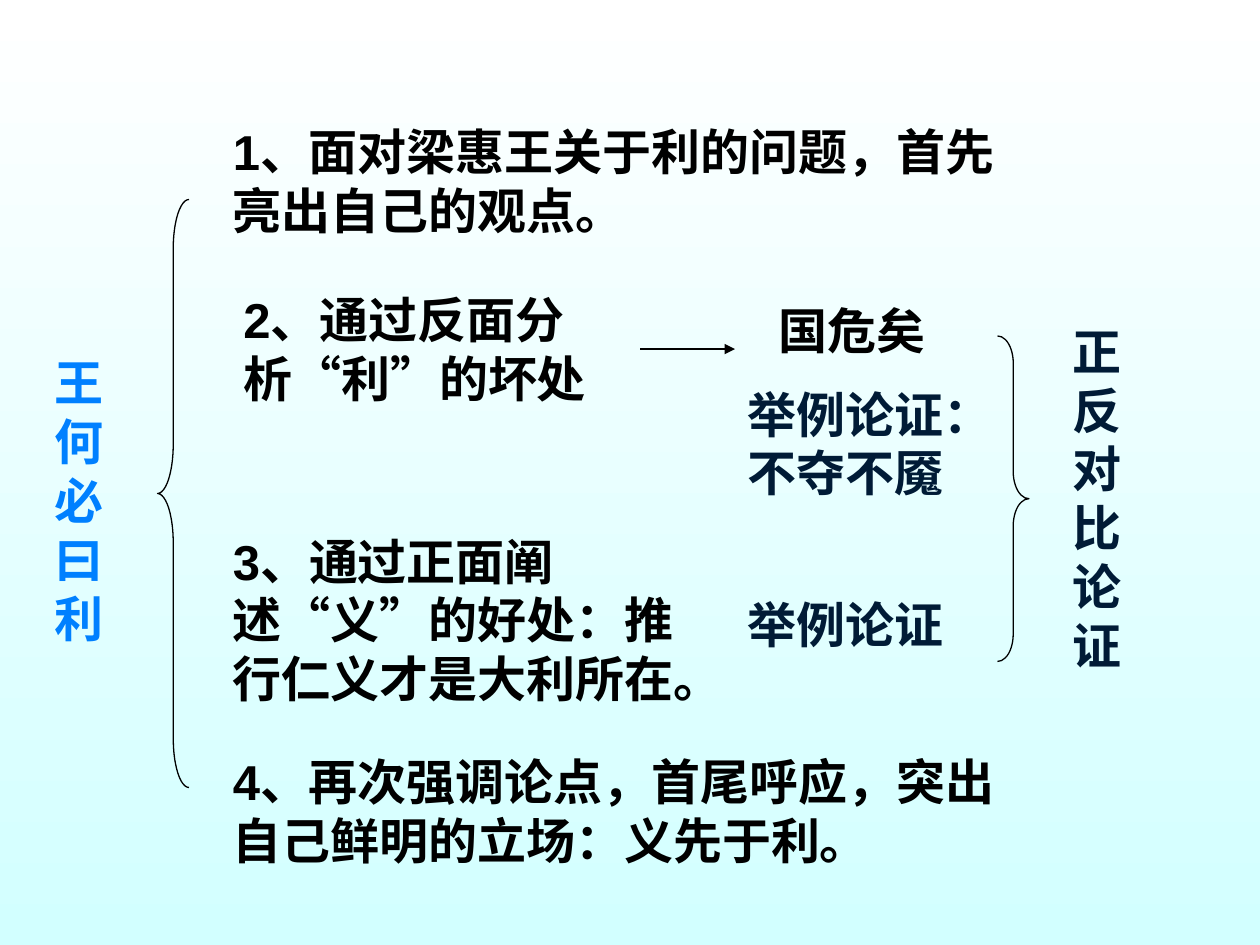
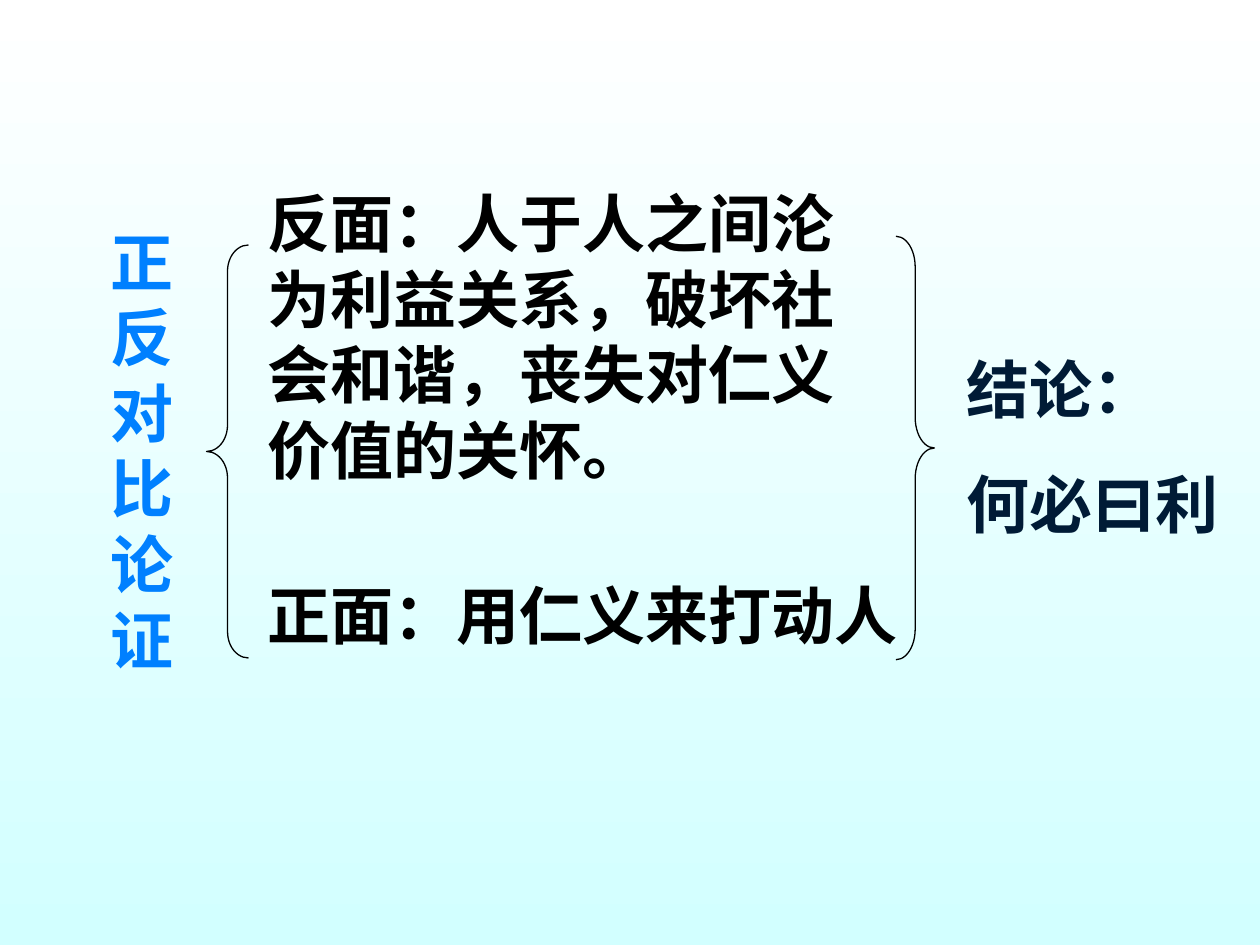
from lxml import etree
from pptx import Presentation
from pptx.dml.color import RGBColor
from pptx.enum.lang import MSO_LANGUAGE_ID as LANG
from pptx.enum.shapes import MSO_CONNECTOR, MSO_SHAPE as SHAPE
from pptx.enum.text import MSO_AUTO_SIZE as AUTO_SIZE
from pptx.oxml.ns import qn
from pptx.util import Pt

FONT = "Arial"
BLACK = RGBColor(0x00, 0x00, 0x00)
NAVY = RGBColor(0x00, 0x1B, 0x36)
BLUE = RGBColor(0x00, 0x80, 0xFF)
WHITE = RGBColor(0xFF, 0xFF, 0xFF)
PALE_CYAN = RGBColor(0xD2, 0xFF, 0xFF)
LINE_WIDTH = Pt(0.75)
SMALL, LARGE = 28, 36


def set_background(master):
    fill = master.background.fill
    fill.gradient()
    fill.gradient_angle = 270
    for stop, color in zip(fill.gradient_stops, (WHITE, PALE_CYAN)):
        stop.color.rgb = color


def add_text(s, text, x, y, w, h, size, color=BLACK):
    box = s.shapes.add_textbox(Pt(x), Pt(y), Pt(w), Pt(h))
    tf = box.text_frame
    tf.word_wrap = True
    tf.auto_size = AUTO_SIZE.SHAPE_TO_FIT_TEXT
    tf.text = text
    for p in tf.paragraphs:
        p.space_before = Pt(size * 0.625)
        for r in p.runs:
            r.font.name = FONT
            r.font.size = Pt(size)
            r.font.bold = True
            r.font.color.rgb = color
            r.font.language_id = LANG.SIMPLIFIED_CHINESE
    return box


def add_brace(s, kind, x, y, w, h, curl):
    """Add a brace whose curved parts are each curl points high."""
    brace = s.shapes.add_shape(kind, Pt(x), Pt(y), Pt(w), Pt(h))
    brace.adjustments[0] = curl / w
    brace.shadow.inherit = False
    brace.fill.background()
    brace.line.color.rgb = BLACK
    brace.line.width = LINE_WIDTH


def add_arrow_from(s, box, length):
    """Add an arrow to the right from the middle of the box's right side."""
    x, y = box.left + box.width, box.top + box.height // 2
    arrow = s.shapes.add_connector(MSO_CONNECTOR.STRAIGHT, x, y, x + Pt(length), y)
    arrow.begin_connect(box, 3)
    arrow.line.color.rgb = BLACK
    arrow.line.width = LINE_WIDTH
    etree.SubElement(arrow.line._get_or_add_ln(), qn("a:tailEnd"), type="triangle")
    etree.SubElement(arrow._element.spPr, qn("a:effectLst"))


def add_points(s, x, y):
    """Add the four steps of the argument."""
    add_text(s, "1、面对梁惠王关于利的问题，首先亮出自己的观点。", x, y, 462, 75, SMALL)
    harm = add_text(s, "2、通过反面分析“利”的坏处", x + 6, y + 96, 234, 75, SMALL)
    add_arrow_from(s, harm, 54)
    add_text(s, "3、通过正面阐述“义”的好处：推行仁义才是大利所在。",
             x, y + 234, 270, 108, SMALL)
    add_text(s, "4、再次强调论点，首尾呼应，突出自己鲜明的立场：义先于利。",
             x, y + 360, 462, 75, SMALL)


def add_evidence(s, x, y):
    """Add the examples, braced together under the method they serve."""
    add_text(s, "国危矣", x + 18, y, 114, 41, SMALL)
    add_text(s, "举例论证：不夺不魇", x, y + 48, 162, 75, SMALL, NAVY)
    add_text(s, "举例论证", x, y + 168, 156, 41, SMALL, NAVY)
    add_brace(s, SHAPE.RIGHT_BRACE, x + 150, y + 24, 18, 186, 15.5)
    add_text(s, "正反对比论证", x + 186, y + 12, 66, 209, SMALL, NAVY)


def add_contrast(s, x, y):
    """Add the negative and positive sides between two braces."""
    add_brace(s, SHAPE.LEFT_BRACE, x, y + 38, 24, 236, 15)
    add_text(s, "反面：人于人之间沦为利益关系，破坏社会和谐，丧失对仁义价值的关怀。",
             x + 28, y, 354, 180, LARGE)
    add_text(s, "正面：用仁义来打动人", x + 28, y + 224, 382, 50, LARGE)
    add_brace(s, SHAPE.RIGHT_BRACE, x + 394, y + 33, 22, 242, 17.5)


def build_outline_slide(s):
    add_text(s, "王何必曰利", 24, 198, 54, 176, SMALL, BLUE)
    add_brace(s, SHAPE.LEFT_BRACE, 90, 114, 18, 336, 28)
    add_points(s, 126, 66)
    add_evidence(s, 420, 168)


def build_contrast_slide(s):
    add_text(s, "正反对比论证", 56, 124, 48, 266, LARGE, BLUE)
    add_contrast(s, 118, 102)
    add_text(s, "结论：\n何必曰利", 545, 196.5, 175, 117, LARGE, NAVY)


def main():
    prs = Presentation()
    prs.slide_width, prs.slide_height = Pt(720), Pt(540)
    set_background(prs.slide_master)
    blank = prs.slide_layouts[6]
    for build in (build_outline_slide, build_contrast_slide):
        build(prs.slides.add_slide(blank))
    prs.save("out.pptx")


if __name__ == "__main__":
    main()
